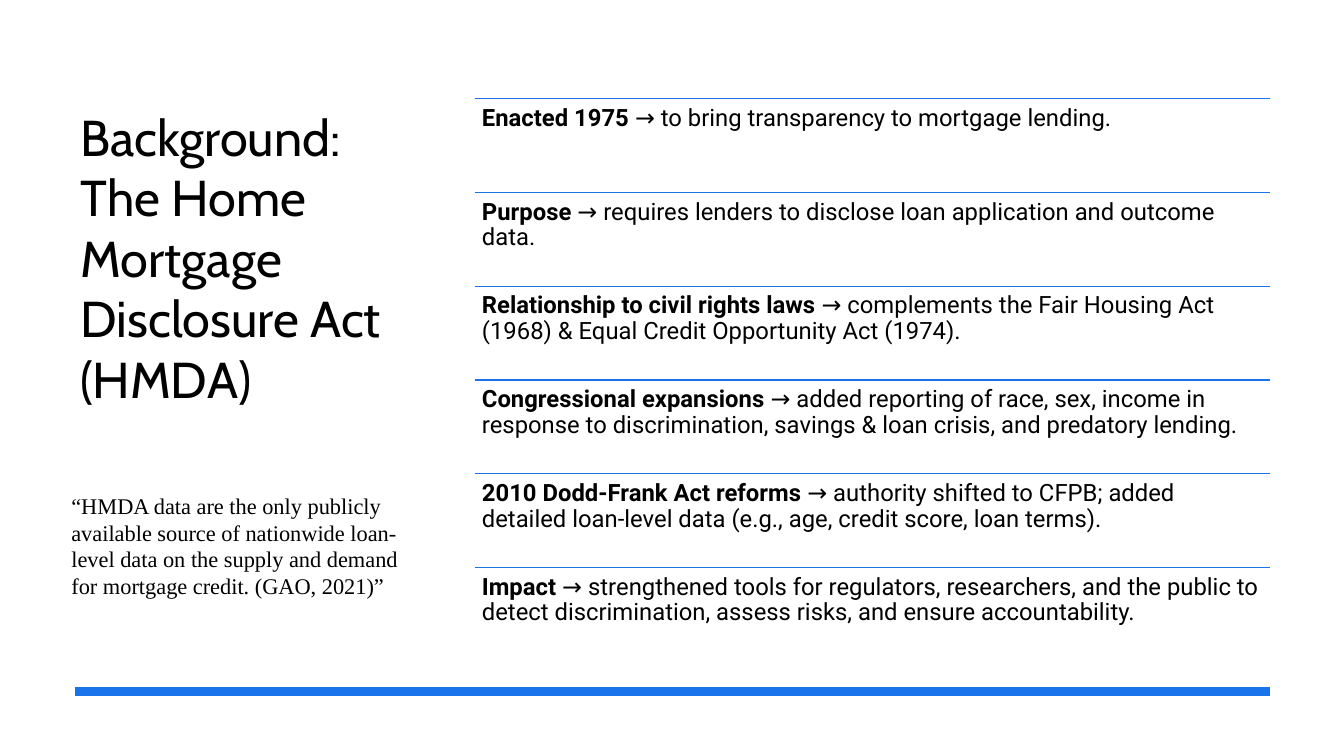
"""Build a slide on the background of the Home Mortgage Disclosure Act."""
from lxml import etree
from pptx import Presentation
from pptx.dml.color import RGBColor
from pptx.enum.shapes import MSO_CONNECTOR
from pptx.enum.text import MSO_ANCHOR
from pptx.oxml.ns import qn
from pptx.util import Inches, Pt

TITLE = "Background: The Home Mortgage Disclosure Act (HMDA)"
QUOTE = ("“HMDA data are the only publicly available source of nationwide loan-level data "
         "on the supply and demand for mortgage credit. (GAO, 2021)”")
MILESTONES = [
    ("Enacted 1975", "to bring transparency to mortgage lending."),
    ("Purpose", "requires lenders to disclose loan application and outcome data."),
    ("Relationship to civil rights laws",
     "complements the Fair Housing Act (1968) & Equal Credit Opportunity Act (1974)."),
    ("Congressional expansions",
     "added reporting of race, sex, income in response to discrimination, "
     "savings & loan crisis, and predatory lending."),
    ("2010 Dodd-Frank Act reforms",
     "authority shifted to CFPB; added detailed loan-level data "
     "(e.g., age, credit score, loan terms)."),
    ("Impact",
     "strengthened tools for regulators, researchers, and the public to detect "
     "discrimination, assess risks, and ensure accountability."),
]

BLUE = RGBColor(0x19, 0x73, 0xEB)
BLACK = RGBColor(0, 0, 0)
TITLE_FONT = {"name": "Cabin", "size": Pt(36)}
BODY_FONT = {"name": "Roboto", "size": Pt(17)}
QUOTE_FONT = {"name": "Times New Roman", "size": Pt(16)}
ROW_FRAME = {side: Inches(0.07) for side in
             ("margin_left", "margin_top", "margin_right", "margin_bottom")}

WIDTH, HEIGHT = 13.33, 7.5
LIST_LEFT, LIST_TOP, RIGHT = 4.71, 0.98, 12.6
ROW = 0.93
BAR_LEFT, BAR_TOP = 0.74, 6.86


def set_all(obj, values):
    for name, value in values.items():
        setattr(obj, name, value)


def add_text(s, box, runs, font, frame=None, para=None):
    tf = s.shapes.add_textbox(*map(Inches, box)).text_frame
    set_all(tf, {"word_wrap": True, "vertical_anchor": MSO_ANCHOR.TOP, **(frame or {})})
    p = tf.paragraphs[0]
    set_all(p, para or {})
    for text, bold in runs:
        r = p.add_run()
        r.text = text
        set_all(r.font, {**font, "bold": bold})
        r.font.color.rgb = BLACK


def add_rule(s, left, top, weight):
    rule = s.shapes.add_connector(
        MSO_CONNECTOR.STRAIGHT, *map(Inches, (left, top, RIGHT, top)))
    rule.line.color.rgb = BLUE
    rule.line.width = Pt(weight)
    etree.SubElement(rule._element.spPr, qn("a:effectLst"))


def main():
    prs = Presentation()
    set_all(prs, {"slide_width": Inches(WIDTH), "slide_height": Inches(HEIGHT)})
    s = prs.slides.add_slide(prs.slide_layouts[6])

    add_text(s, (0.7, 1, 3.28, 4.55), [(TITLE, False)], TITLE_FONT)
    add_rule(s, BAR_LEFT, BAR_TOP, 6)
    for i, (label, detail) in enumerate(MILESTONES):
        top = LIST_TOP + i * ROW
        add_rule(s, LIST_LEFT, top, 1)
        add_text(s, (LIST_LEFT, top, RIGHT - LIST_LEFT, ROW),
                 [(label, True), (f" → {detail}", False)],
                 BODY_FONT, ROW_FRAME, {"line_spacing": 0.9})
    add_text(s, (0.61, 4.83, 3.73, 1.45), [(QUOTE, False)], QUOTE_FONT)

    prs.save("out.pptx")


if __name__ == "__main__":
    main()
